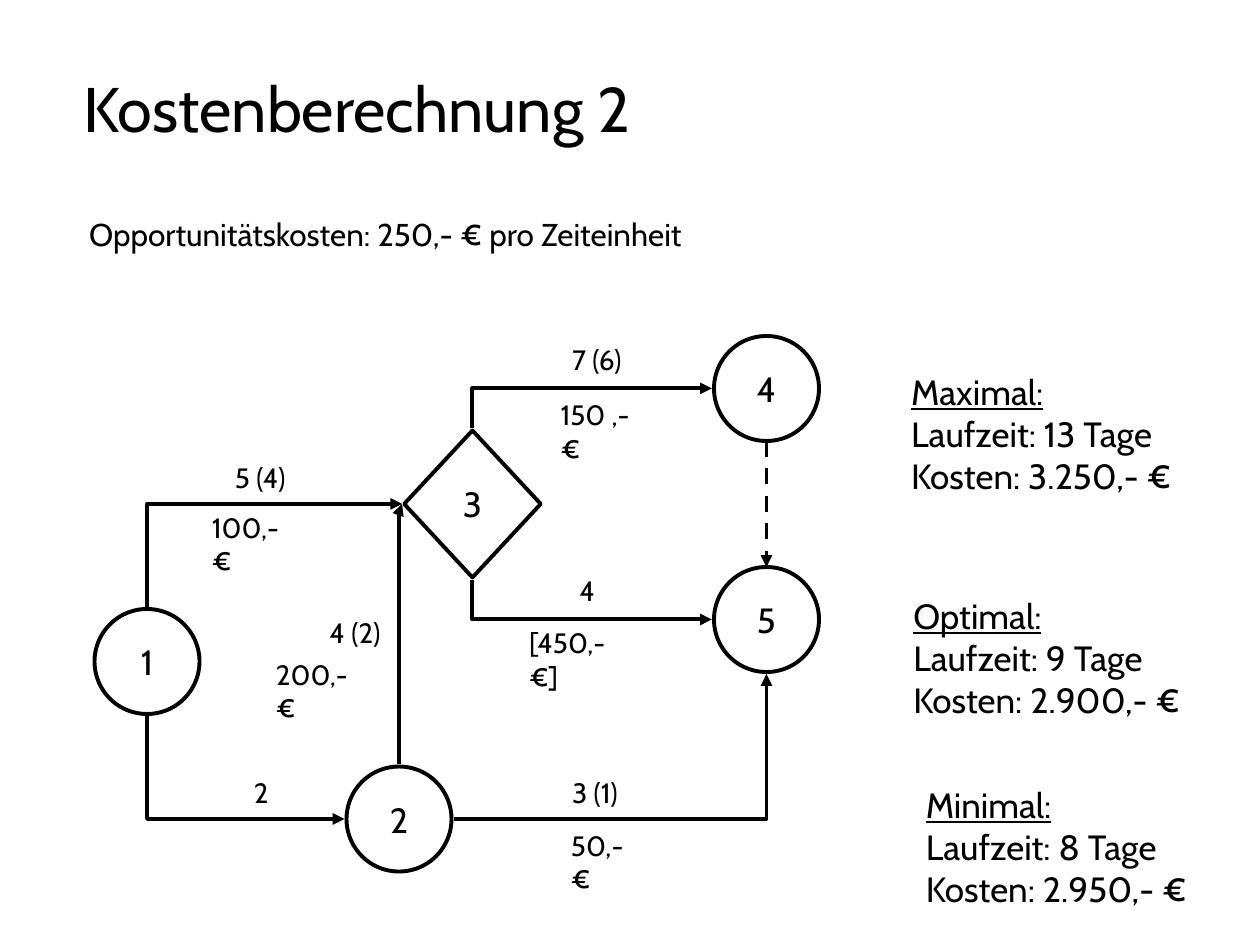
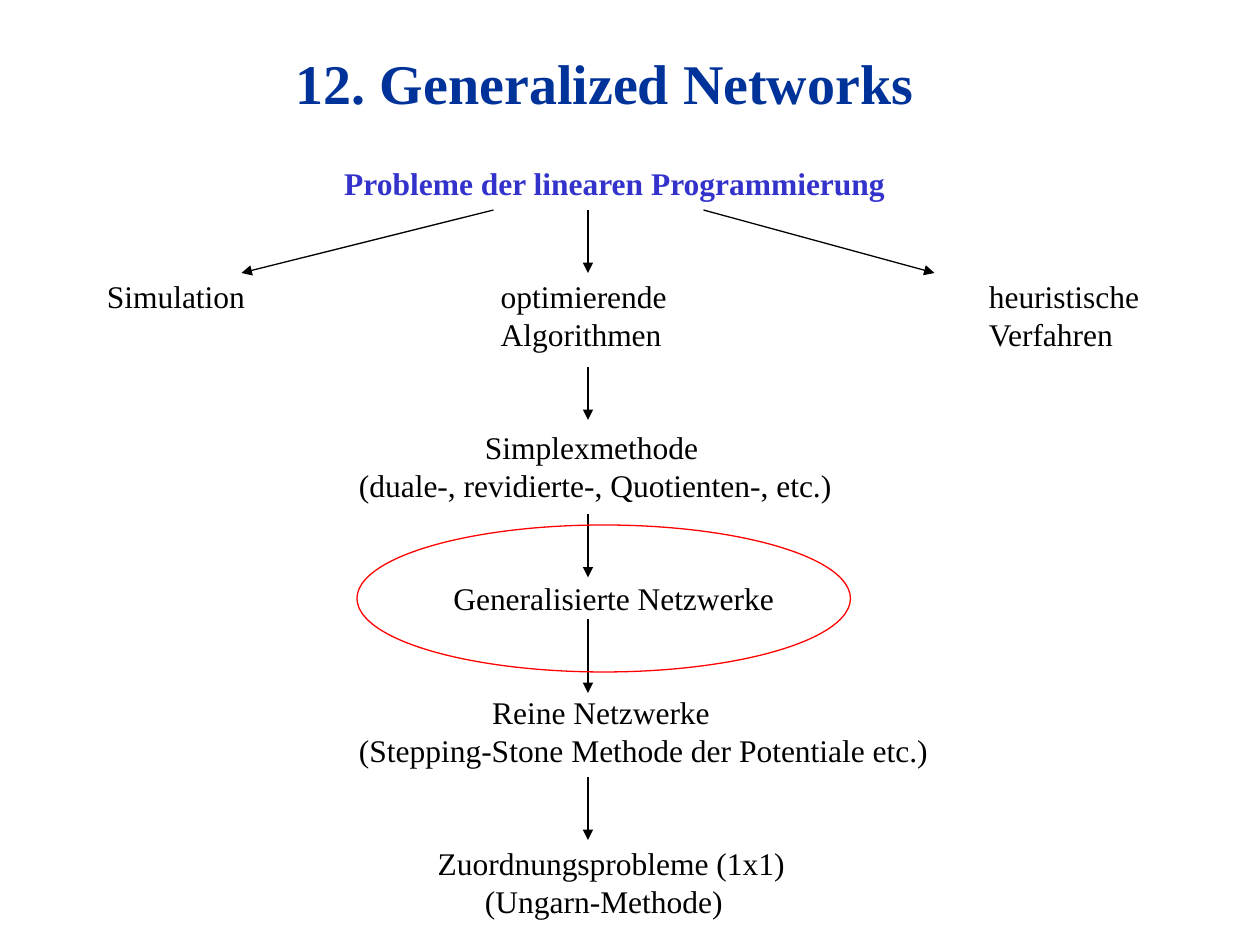
"""Builds two slides: a project network with costs and a tree of solution methods."""
from lxml import etree
from pptx import Presentation
from pptx.dml.color import RGBColor
from pptx.enum.dml import MSO_LINE_DASH_STYLE as DASH
from pptx.enum.shapes import MSO_CONNECTOR as CONN, MSO_SHAPE as SHAPE
from pptx.enum.text import MSO_ANCHOR as ANCHOR, PP_ALIGN as ALIGN
from pptx.oxml.ns import qn
from pptx.util import Emu, Pt

EMU_PER_PX = 7620
BLACK, WHITE, RED = "000000", "FFFFFF", "FF0000"
NAVY, BLUE = "003399", "3333CC"


def px(n):
    return Emu(round(n * EMU_PER_PX))


def rgb(code):
    return RGBColor.from_string(code)


def write(tf, text, font, size, color=BLACK, bold=False, align=ALIGN.LEFT,
          underline_first=False, indents=(), spacing=None):
    tf.word_wrap = True
    for i, line in enumerate(text.split("\n")):
        p = tf.paragraphs[0] if i == 0 else tf.add_paragraph()
        p.alignment = align
        if spacing:
            p.line_spacing = Pt(spacing)
        if indents:
            p._p.get_or_add_pPr().set("marL", str(px(indents[i])))
        r = p.add_run()
        r.text = line
        r.font.name, r.font.size, r.font.bold = font, Pt(size), bold
        r.font.color.rgb = rgb(color)
        r.font.underline = underline_first and i == 0


class Deck:
    def __init__(self, prs):
        self.prs = prs

    def new_slide(self, font, weight):
        self.s = self.prs.slides.add_slide(self.prs.slide_layouts[6])
        self.font, self.weight = font, weight

    def text(self, x, y, w, h, text, size=18, **fmt):
        sp = self.s.shapes.add_textbox(px(x), px(y), px(w), px(h))
        write(sp.text_frame, text, self.font, size, **fmt)

    def shape(self, kind, x, y, w, h, text="", fill=None, line=BLACK):
        sp = self.s.shapes.add_shape(kind, px(x), px(y), px(w), px(h))
        sp.shadow.inherit = False
        if fill:
            sp.fill.solid()
            sp.fill.fore_color.rgb = rgb(fill)
        else:
            sp.fill.background()
        sp.line.color.rgb = rgb(line)
        sp.line.width = Pt(self.weight)
        if text:
            tf = sp.text_frame
            tf.margin_left = tf.margin_right = tf.margin_top = tf.margin_bottom = 0
            tf.vertical_anchor = ANCHOR.MIDDLE
            write(tf, text, self.font, 20, align=ALIGN.CENTER)

    def arrow(self, x1, y1, x2, y2, kind=CONN.STRAIGHT, dash=None):
        c = self.s.shapes.add_connector(kind, px(x1), px(y1), px(x2), px(y2))
        c.line.color.rgb = rgb(BLACK)
        c.line.width = Pt(self.weight)
        if dash:
            c.line.dash_style = dash
        etree.SubElement(c.line._get_or_add_ln(), qn("a:tailEnd"), type="triangle")
        spPr = c._element.spPr
        etree.SubElement(spPr, qn("a:effectLst"))
        return spPr

    def bent_arrow(self, x1, y1, x2, y2, vertical_first=True):
        dx, dy = x2 - x1, y2 - y1
        if vertical_first:
            cx, cy = (x1 + x2) / 2, (y1 + y2) / 2
            half_w, half_h = abs(dy) / 2, dx / 2 if dy > 0 else -dx / 2
            x1, y1, x2, y2 = cx + half_w, cy - half_h, cx - half_w, cy + half_h
        spPr = self.arrow(x1, y1, x2, y2, CONN.ELBOW)
        spPr.find(qn("a:prstGeom")).set("prst", "bentConnector2")
        if vertical_first:
            spPr.find(qn("a:xfrm")).set("rot", str((270 if dy > 0 else 90) * 60000))


def cost_slide(d):
    d.new_slide("Cabin", 2.25)
    d.text(68, 60, 612, 84, "Kostenberechnung 2", 36)
    d.text(73, 199, 642, 48, "Opportunitätskosten: 250,- € pro Zeiteinheit")

    for name, x, y in (("1", 90, 580), ("2", 330, 730), ("4", 680, 320), ("5", 680, 540)):
        d.shape(SHAPE.OVAL, x, y, 100, 100, name, WHITE)
    d.shape(SHAPE.FLOWCHART_DECISION, 385, 410, 130, 140, "3", WHITE)

    for ends in ((450, 552, 678, 590), (450, 408, 678, 370), (140, 682, 328, 780),
                 (140, 578, 383, 480), (380, 728, 383, 480)):
        d.bent_arrow(*ends)
    d.bent_arrow(432, 780, 730, 642, vertical_first=False)
    d.arrow(730, 420, 730, 540, dash=DASH.DASH)

    for x, y, duration in ((212, 433, "5 (4)"), (230, 733, "2"), (533, 320, "7 (6)"),
                           (540, 540, "4"), (302, 580, "4 (2)"), (533, 733, "3 (1)")):
        d.text(x, y, 80, 44, duration, 16)
    for x, y, w, cost in ((190, 480, 96, "100,-€"), (522, 373, 104, "150 ,- €"),
                          (251, 620, 104, "200,- €"), (532, 783, 84, "50,- €"),
                          (492, 590, 112, "[450,- €]")):
        d.text(x, y, w, 72, cost, 16)
    for x, y, case, days, total in ((856, 347, "Maximal", 13, "3.250"),
                                    (858, 560, "Optimal", 9, "2.900"),
                                    (870, 740, "Minimal", 8, "2.950")):
        d.text(x, y, 300, 132, f"{case}:\nLaufzeit: {days} Tage\nKosten: {total},- €",
               20, underline_first=True)


def methods_slide(d):
    d.new_slide("Times New Roman", 0.75)
    d.text(270, 40, 624, 76, "12. Generalized Networks", 32, color=NAVY, bold=True)

    top, row_height = 150, 36
    d.text(316, top, 570, 48, "Probleme der linearen Programmierung",
           color=BLUE, bold=True, spacing=21.6)
    for row, x, w, text, indents in (
            (3, 90, 180, "Simulation", ()),
            (3, 465, 200, "optimierende\nAlgorithmen", ()),
            (3, 930, 190, "heuristische\nVerfahren", ()),
            (7, 330, 520, "Simplexmethode\n(duale-, revidierte-, Quotienten-, etc.)", (120, 0)),
            (11, 420, 360, "Generalisierte Netzwerke", ()),
            (14, 330, 620, "Reine Netzwerke\n(Stepping-Stone Methode der Potentiale etc.)",
             (127, 0)),
            (18, 405, 400, "Zuordnungsprobleme (1x1)\n(Ungarn-Methode)", (0, 45))):
        d.text(x, top + row * row_height, w, 12 + row_height * len(text.split("\n")), text,
               indents=indents, spacing=21.6)

    for y1, y2 in ((200, 260), (350, 400), (490, 550), (590, 660), (740, 800)):
        d.arrow(560, y1, 560, y2)
    d.arrow(470, 200, 230, 260)
    d.arrow(670, 200, 890, 260)
    d.shape(SHAPE.OVAL, 340, 500, 470, 140, line=RED)


def main():
    prs = Presentation()
    prs.slide_width, prs.slide_height = px(1200), px(900)
    d = Deck(prs)
    cost_slide(d)
    methods_slide(d)
    prs.save("out.pptx")


if __name__ == "__main__":
    main()
